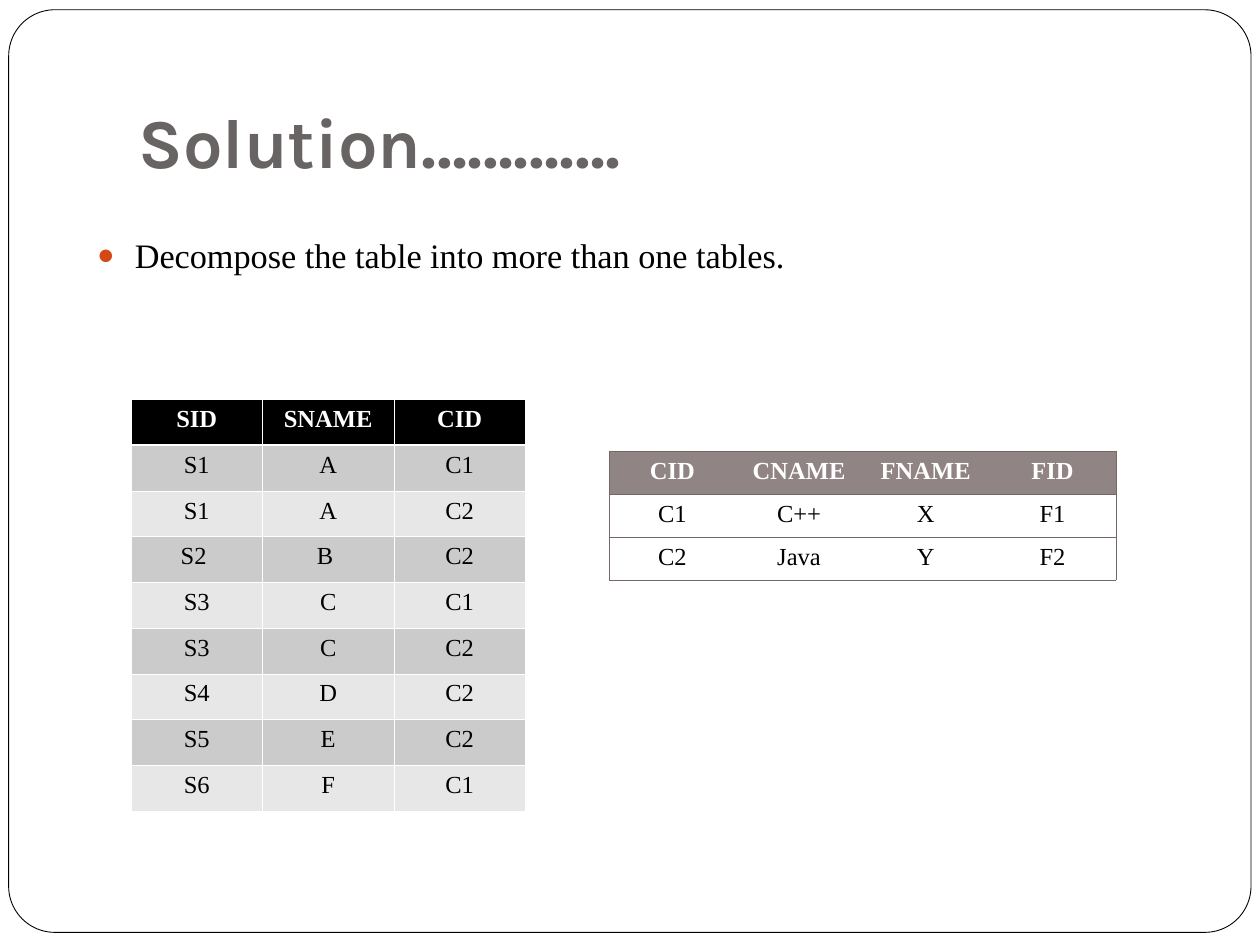
import dataclasses
import typing

import lxml.etree
import pptx
import pptx.dml.color
import pptx.enum.shapes
import pptx.enum.text
import pptx.oxml.ns
import pptx.util

Pt = pptx.util.Pt
qn = pptx.oxml.ns.qn


@dataclasses.dataclass(frozen=True)
class Theme:
    sans: str = "Karla"
    serif: str = "Times New Roman"
    title: float = 40
    body: float = 19.6
    cell: float = 14
    white: str = "FFFFFF"
    black: str = "000000"
    gray: str = "696464"
    bullet: str = "D34817"
    dark: str = "CBCBCB"
    light: str = "E7E7E7"
    head: str = "918485"
    rule: str = "736768"


@dataclasses.dataclass(frozen=True)
class Grid:
    left: float
    top: float
    width: float  # of one column
    height: float  # of one row
    side: float  # left and right cell margin
    rows: list[list[str]]
    head: str
    bands: tuple[str, ...]  # fills of the body rows, in turn
    line: str
    thin: float
    thick: float  # rule under the header
    inner: bool  # lines between columns


THEME = Theme()

STUDENTS = Grid(
    74.9, 228.24, 75.1, 26.15, 5.1,
    [["SID", "SNAME", "CID"], ["S1", "A", "C1"], ["S1", "A", "C2"],
     ["S2 ", "B ", "C2"], ["S3", "C", "C1"], ["S3", "C", "C2"],
     ["S4", "D", "C2"], ["S5", "E", "C2"], ["S6", "F", "C1"]],
    THEME.black, (THEME.dark, THEME.light), THEME.white, 0.45, 1.47, True)

COURSES = Grid(
    348, 257.76, 72.4, 24.55, 5.8,
    [["CID", "CNAME", "FNAME", "FID"], ["C1", "C++", "X", "F1"],
     ["C2", "Java", "Y", "F2"]],
    THEME.head, (), THEME.rule, 0.34, 0.34, False)


def color(code: str) -> pptx.dml.color.RGBColor:
    return pptx.dml.color.RGBColor.from_string(code)


def style(par: typing.Any, face: str, size: float, code: str, bold: bool = False) -> None:
    font = par.font
    font.name, font.size, font.bold = face, Pt(size), bold
    font.color.rgb = color(code)


def place(shape: typing.Any, left: float, top: float, width: float, height: float) -> None:
    shape.left, shape.top = Pt(left), Pt(top)
    shape.width, shape.height = Pt(width), Pt(height)


def add_fill(node: typing.Any, tag: str, code: str) -> None:
    fill = lxml.etree.SubElement(node, qn(tag))
    lxml.etree.SubElement(fill, qn("a:srgbClr"), val=code)


def edge(cell: typing.Any, side: str, code: str, weight: float) -> None:
    """Draw one cell border; a weight of zero hides it."""
    line = lxml.etree.SubElement(
        cell._tc.get_or_add_tcPr(), qn(f"a:ln{side}"), w=str(int(Pt(weight))))
    if weight:
        add_fill(line, "a:solidFill", code)
    else:
        lxml.etree.SubElement(line, qn("a:noFill"))


def draw_grid(slide: typing.Any, grid: Grid) -> None:
    count, span = len(grid.rows), len(grid.rows[0])
    table = slide.shapes.add_table(
        count, span, Pt(grid.left), Pt(grid.top),
        Pt(grid.width * span), Pt(grid.height * count)).table
    table.first_row = table.horz_banding = False
    for col in table.columns:
        col.width = Pt(grid.width)
    for r, texts in enumerate(grid.rows):
        table.rows[r].height = Pt(grid.height)
        for c, text in enumerate(texts):
            cell = table.cell(r, c)
            # Borders come before the fill in the cell's XML
            inner = grid.thin if grid.inner else 0
            edge(cell, "L", grid.line, grid.thin if c == 0 else inner)
            edge(cell, "R", grid.line, grid.thin if c == span - 1 else inner)
            edge(cell, "T", grid.line, grid.thick if r == 1 else grid.thin)
            edge(cell, "B", grid.line, grid.thick if r == 0 else grid.thin)
            if r and not grid.bands:
                cell.fill.background()
            else:
                cell.fill.solid()
                cell.fill.fore_color.rgb = color(
                    grid.bands[(r - 1) % len(grid.bands)] if r else grid.head)
            cell.margin_left = cell.margin_right = Pt(grid.side)
            cell.margin_top = cell.margin_bottom = Pt(3.6)
            par = cell.text_frame.paragraphs[0]
            par.text = text
            par.alignment = pptx.enum.text.PP_ALIGN.CENTER
            style(par, THEME.serif, THEME.cell,
                  THEME.black if r else THEME.white, r == 0)


def draw_frame(slide: typing.Any) -> None:
    frame = slide.shapes.add_shape(
        pptx.enum.shapes.MSO_SHAPE.ROUNDED_RECTANGLE,
        Pt(5), Pt(5.6), Pt(709.9), Pt(527.2))
    frame.adjustments[0] = 0.05
    frame.shadow.inherit = False
    frame.fill.solid()
    frame.fill.fore_color.rgb = color(THEME.white)
    frame.line.color.rgb = color(THEME.black)
    frame.line.width = Pt(0.5)
    slide.shapes.title.element.addprevious(frame.element)  # send to back


def draw_title(slide: typing.Any) -> None:
    title = slide.shapes.title
    place(title, 72, 21.6, 612, 90)
    box = title.text_frame
    box.text = "Solution…………."
    box.auto_size = pptx.enum.text.MSO_AUTO_SIZE.NONE
    box.vertical_anchor = pptx.enum.text.MSO_ANCHOR.BOTTOM
    box.margin_bottom = Pt(7.2)
    par = box.paragraphs[0]
    par.alignment = pptx.enum.text.PP_ALIGN.LEFT
    style(par, THEME.sans, THEME.title, THEME.gray, True)


def draw_body(slide: typing.Any) -> None:
    body = slide.placeholders[1]
    place(body, 48.24, 130.3, 621.4, 33.1)
    box = body.text_frame
    box.text = "Decompose the table into more than one tables."
    box.auto_size = pptx.enum.text.MSO_AUTO_SIZE.NONE
    par = box.paragraphs[0]
    props = par._p.get_or_add_pPr()
    props.set("marL", str(int(Pt(21.6))))
    props.set("indent", str(int(Pt(-21.6))))
    add_fill(props, "a:buClr", THEME.bullet)
    lxml.etree.SubElement(props, qn("a:buSzPct"), val="85000")
    lxml.etree.SubElement(props, qn("a:buChar"), char="●")
    par.space_before = Pt(0)
    style(par, THEME.serif, THEME.body, THEME.black)


def main() -> None:
    deck = pptx.Presentation()
    deck.slide_width, deck.slide_height = Pt(720), Pt(540)
    slide = deck.slides.add_slide(deck.slide_layouts[1])
    draw_frame(slide)
    draw_title(slide)
    draw_body(slide)
    for grid in (STUDENTS, COURSES):
        draw_grid(slide, grid)
    deck.save("out.pptx")


if __name__ == "__main__":
    main()
